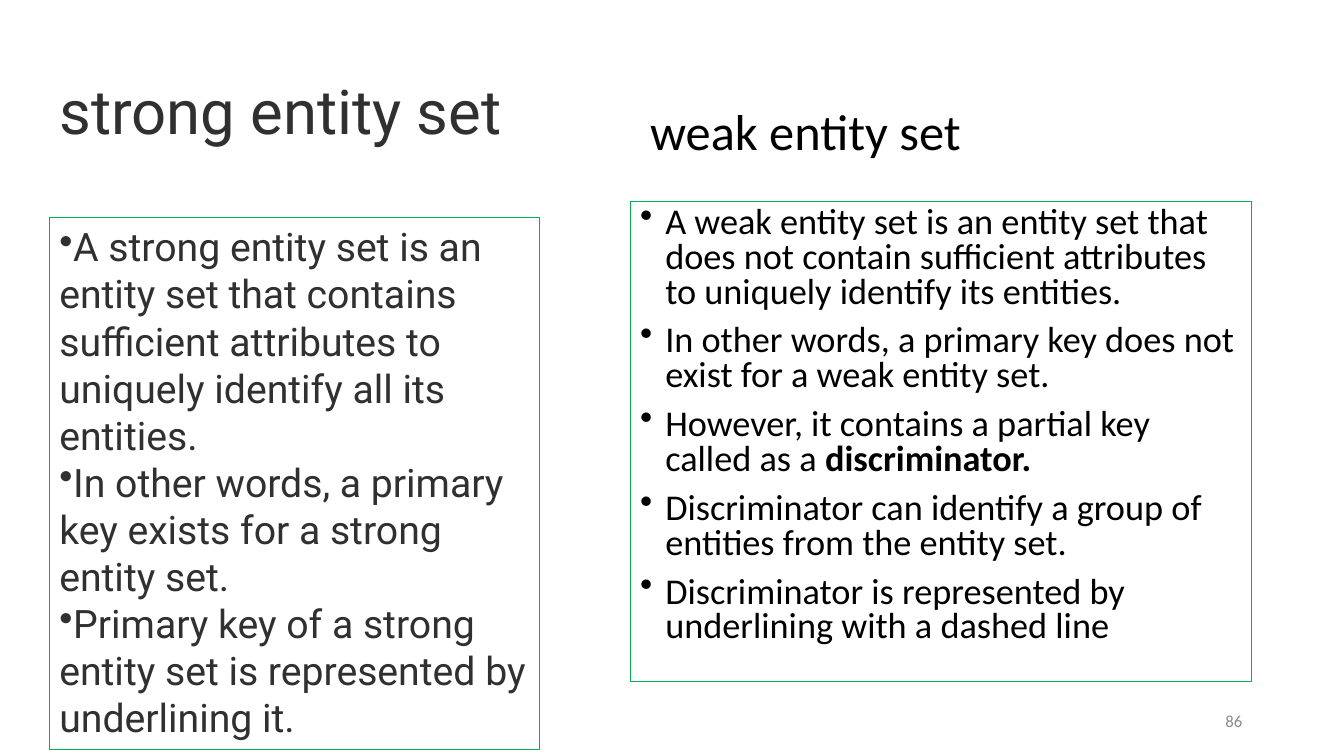
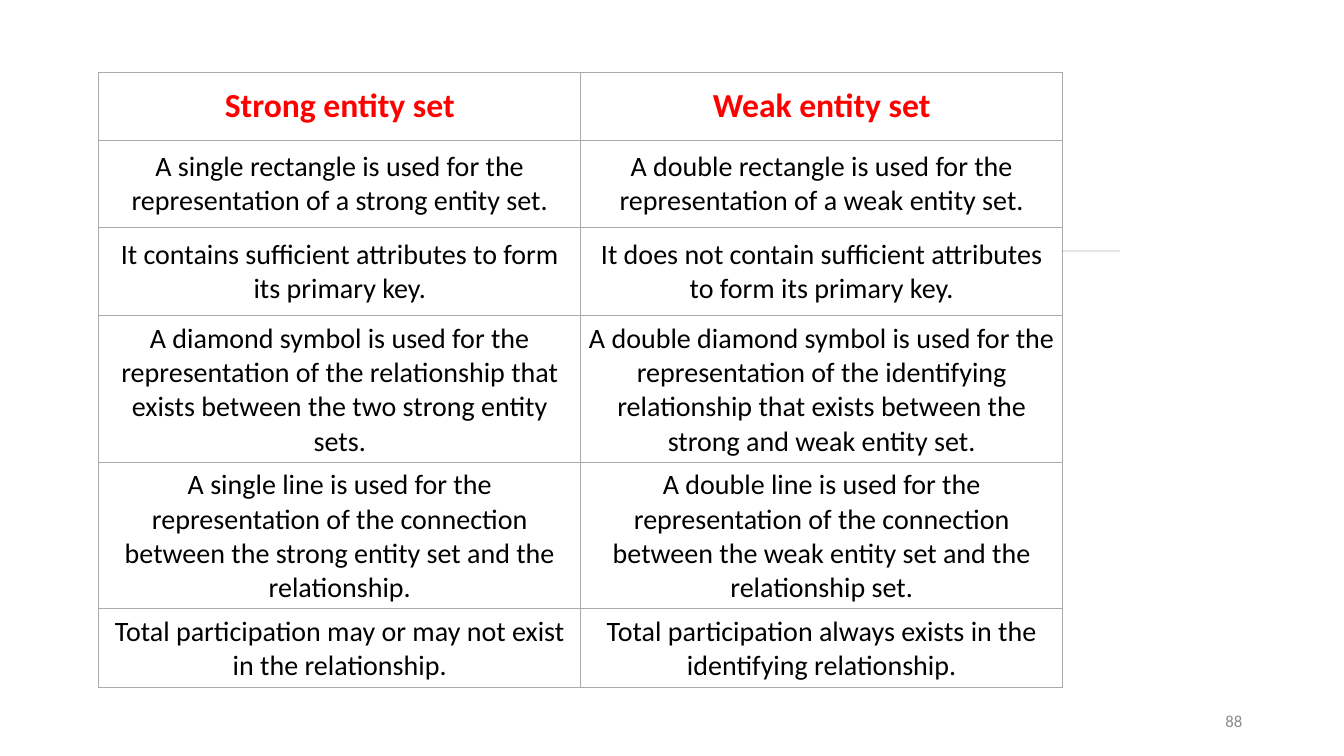
import dataclasses

import lxml.etree
import pptx
import pptx.dml.color
import pptx.enum.shapes
import pptx.enum.text
import pptx.oxml.ns
import pptx.util

Inches = pptx.util.Inches
Pt = pptx.util.Pt
ALIGN = pptx.enum.text.PP_ALIGN
ANCHOR = pptx.enum.text.MSO_ANCHOR

COLORS = {
    "ink": "303030",
    "black": "000000",
    "red": "FF0000",
    "green": "00B050",
    "grid": "AAAAAA",
    "gray": "8C8C8C",
    "rule": "403D39",
}


@dataclasses.dataclass
class Style:
    font: str
    size: float
    color: str
    bold: bool = False
    align: ALIGN = ALIGN.LEFT
    space: float = 1.0
    before: float = 0
    bullet: bool = False
    indent: float = 0


@dataclasses.dataclass
class Item:
    text: str
    strong: str = ""


@dataclasses.dataclass
class Box:
    left: float
    top: float
    width: float
    height: float
    style: Style
    items: list[Item]
    anchor: ANCHOR = ANCHOR.TOP
    line: str = ""


# Text styles
TITLE = Style("Roboto", 44, "ink", space=0.9)
SIDE = Style("Calibri", 36, "black")
STRONG = Style("Roboto", 28, "ink", bullet=True)
WEAK = Style("Calibri", 25.9, "black", space=0.8, before=10,
             bullet=True, indent=0.25)
NUMBER = Style("Calibri", 12, "gray", align=ALIGN.RIGHT)
HEAD = Style("Calibri", 24, "red", bold=True, align=ALIGN.CENTER)
BODY = Style("Calibri", 20, "black", align=ALIGN.CENTER)

# Content of the two lists
STRONG_ITEMS = [
    Item("A strong entity set is an entity set that contains sufficient "
         "attributes to uniquely identify all its entities."),
    Item("In other words, a primary key exists for a strong entity set."),
    Item("Primary key of a strong entity set is represented by "
         "underlining it."),
]
WEAK_ITEMS = [
    Item("A weak entity set is an entity set that does not contain "
         "sufficient attributes to uniquely identify its entities."),
    Item("In other words, a primary key does not exist for a weak "
         "entity set."),
    Item("However, it contains a partial key called as a ",
         "discriminator."),
    Item("Discriminator can identify a group of entities from the "
         "entity set."),
    Item("Discriminator is represented by underlining with a dashed line"),
]

BOXES = [
    Box(0.49, 0.41, 5.34, 1.45, TITLE, [Item("strong entity set")],
        ANCHOR.MIDDLE),
    Box(6.25, 2, 6.16, 4.76, WEAK, WEAK_ITEMS, line="green"),
    Box(0.49, 2.16, 4.86, 5.28, STRONG, STRONG_ITEMS, line="green"),
    Box(6.35, 0.94, 4.73, 0.71, SIDE, [Item("weak entity set")]),
]

# Content of the table
ROWS = [
    ("Strong entity set", "Weak entity set"),
    ("A single rectangle is used for the representation of a strong "
     "entity set.",
     "A double rectangle is used for the representation of a weak "
     "entity set."),
    ("It contains sufficient attributes to form its primary key.",
     "It does not contain sufficient attributes to form its primary key."),
    ("A diamond symbol is used for the representation of the relationship "
     "that exists between the two strong entity sets.",
     "A double diamond symbol is used for the representation of the "
     "identifying relationship that exists between the strong and weak "
     "entity set."),
    ("A single line is used for the representation of the connection "
     "between the strong entity set and the relationship.",
     "A double line is used for the representation of the connection "
     "between the weak entity set and the relationship set."),
    ("Total participation may or may not exist in the relationship.",
     "Total participation always exists in the identifying relationship."),
]
HEIGHTS = [0.67, 0.87, 0.87, 1.36, 1.36, 0.62]


def rgb(name: str) -> pptx.dml.color.RGBColor:
    return pptx.dml.color.RGBColor.from_string(COLORS[name])


def add_bullet(para, indent: float) -> None:
    props = para._p.get_or_add_pPr()
    props.set("marL", str(Inches(indent)))
    props.set("indent", str(-Inches(indent)))
    mark = lxml.etree.SubElement(props, pptx.oxml.ns.qn("a:buChar"))
    mark.set("char", "•")


def fill_text(frame, items: list[Item], style: Style) -> None:
    frame.word_wrap = True
    for index, item in enumerate(items):
        para = frame.add_paragraph() if index else frame.paragraphs[0]
        para.text = item.text
        if item.strong:
            para.add_run().text = item.strong
        if style.bullet:
            add_bullet(para, style.indent)
        para.alignment = style.align
        para.line_spacing = style.space
        para.space_before = Pt(style.before if index else 0)
        for order, run in enumerate(para.runs):
            run.font.name = style.font
            run.font.size = Pt(style.size)
            run.font.bold = style.bold or order > 0
            run.font.color.rgb = rgb(style.color)


def add_box(slide, box: Box) -> None:
    shape = slide.shapes.add_textbox(
        Inches(box.left), Inches(box.top),
        Inches(box.width), Inches(box.height))
    if box.line:
        shape.line.color.rgb = rgb(box.line)
        shape.line.width = Pt(0.75)
    shape.text_frame.vertical_anchor = box.anchor
    fill_text(shape.text_frame, box.items, box.style)


def add_slide(deck, number: int):
    slide = deck.slides.add_slide(deck.slide_layouts[6])
    add_box(slide, Box(9.42, 6.95, 3, 0.4, NUMBER, [Item(str(number))],
                       ANCHOR.MIDDLE))
    return slide


def set_edges(cell) -> None:
    props = cell._tc.get_or_add_tcPr()
    for index, side in enumerate(("lnL", "lnR", "lnT", "lnB")):
        edge = lxml.etree.Element(pptx.oxml.ns.qn(f"a:{side}"),
                                  w=str(Pt(0.75)))
        fill = lxml.etree.SubElement(edge, pptx.oxml.ns.qn("a:solidFill"))
        lxml.etree.SubElement(fill, pptx.oxml.ns.qn("a:srgbClr"),
                              val=COLORS["grid"])
        props.insert(index, edge)


def add_grid(slide) -> None:
    table = slide.shapes.add_table(
        len(ROWS), 2, Inches(0.98), Inches(0.72),
        Inches(9.56), Inches(sum(HEIGHTS))).table
    table.first_row = table.horz_banding = False
    for col in table.columns:
        col.width = Inches(4.78)
    for row, height in enumerate(HEIGHTS):
        table.rows[row].height = Inches(height)
        for col, text in enumerate(ROWS[row]):
            cell = table.cell(row, col)
            cell.fill.background()
            cell.vertical_anchor = ANCHOR.MIDDLE
            cell.margin_left = cell.margin_right = Inches(0.08)
            cell.margin_top = cell.margin_bottom = Inches(0.06)
            fill_text(cell.text_frame, [Item(text)], BODY if row else HEAD)
            set_edges(cell)


def add_rule(slide) -> None:
    rule = slide.shapes.add_shape(
        pptx.enum.shapes.MSO_SHAPE.RECTANGLE,
        Inches(10.53), Inches(2.49), Inches(0.58), Inches(0))
    rule.shadow.inherit = False
    rule.fill.solid()
    rule.fill.fore_color.rgb = rgb("rule")
    rule.line.fill.background()


def main() -> None:
    deck = pptx.Presentation()
    deck.slide_width = Inches(13.33)
    deck.slide_height = Inches(7.5)

    # Definitions side by side
    slide = add_slide(deck, 86)
    for box in BOXES:
        add_box(slide, box)

    # Comparison table
    slide = add_slide(deck, 88)
    add_grid(slide)
    add_rule(slide)

    deck.save("out.pptx")


if __name__ == "__main__":
    main()
